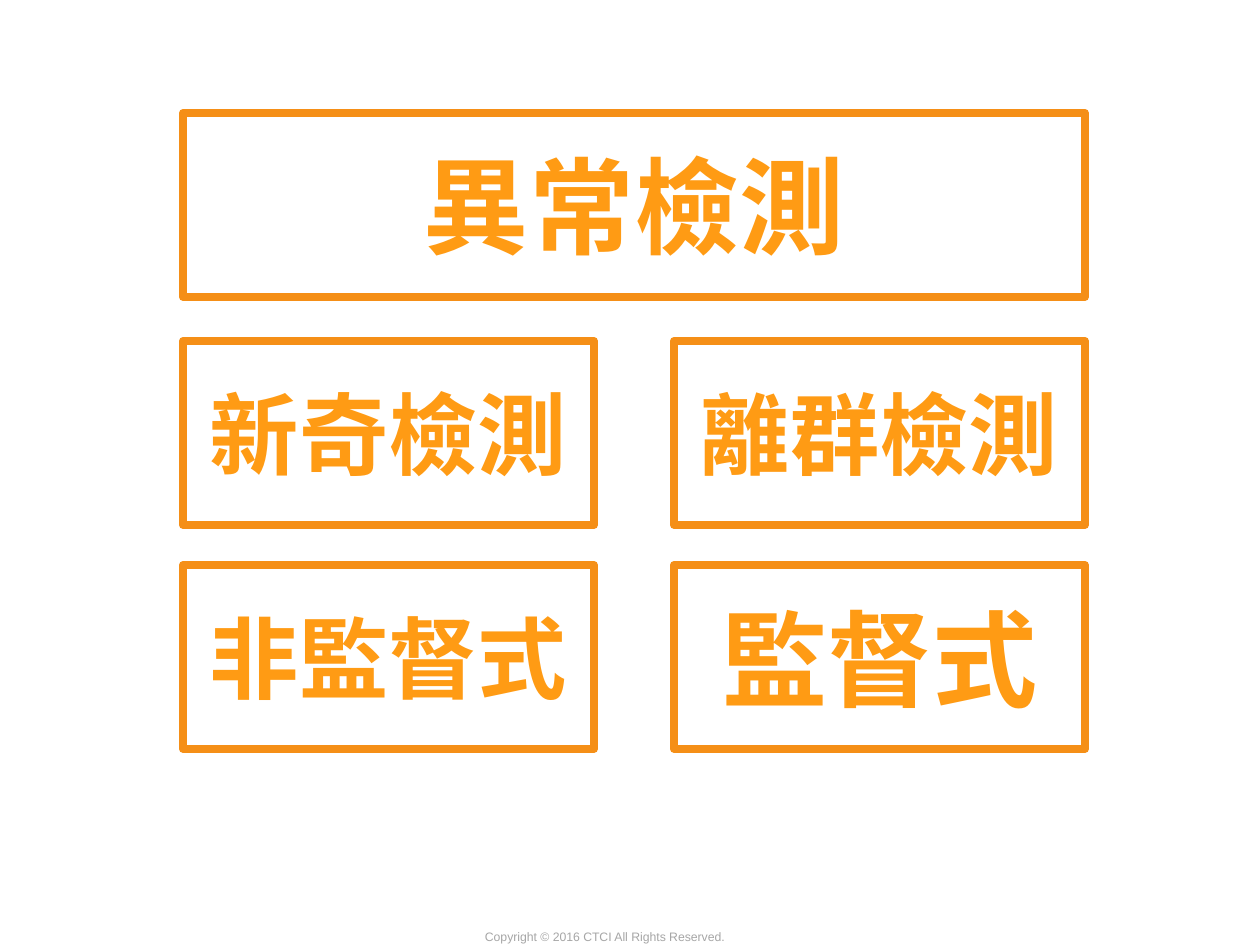
from pptx import Presentation
from pptx.dml.color import RGBColor
from pptx.enum.shapes import MSO_SHAPE
from pptx.enum.text import MSO_ANCHOR, MSO_AUTO_SIZE, PP_ALIGN
from pptx.util import Inches, Pt

# Content
TITLE = ("異常檢測", 60)
GRID = [
    [("新奇檢測", 51), ("離群檢測", 51)],
    [("非監督式", 51), ("監督式", 60)],
]
NOTICE = "Copyright © 2016 CTCI All Rights Reserved."

# Style and layout, in px
FRAME = RGBColor(0xF5, 0x8F, 0x17)
ORANGE = RGBColor(0xFF, 0x9B, 0x14)
GREY = RGBColor(0xA6, 0xA6, 0xA6)
FONT = "Arial"
LEFT, TOP = 183, 113
WIDE, HIGH = 902, 184
CELL = 411
GRID_TOP, ROW_STEP = 341, 224
COL_STEP = WIDE - CELL


def px(n):
    return Inches(n / 126)


def write(shape, text, size, color, bold, align):
    frame = shape.text_frame
    frame.auto_size = MSO_AUTO_SIZE.NONE
    frame.vertical_anchor = MSO_ANCHOR.MIDDLE
    para = frame.paragraphs[0]
    para.alignment = align
    run = para.add_run()
    run.text = text
    font = run.font
    font.name, font.size, font.bold = FONT, Pt(size), bold
    font.color.rgb = color


def style(shape, text, size):
    shape.fill.background()
    shape.line.color.rgb = FRAME
    shape.line.width = Pt(4.5)
    shape.text_frame.word_wrap = True
    write(shape, text, size, ORANGE, True, PP_ALIGN.CENTER)


deck = Presentation()
deck.slide_width, deck.slide_height = Inches(10), Inches(7.5)
slide = deck.slides.add_slide(deck.slide_layouts[5])

# Title across both columns
title = slide.shapes.title
title.left, title.top = px(LEFT), px(TOP)
title.width, title.height = px(WIDE), px(HIGH)
style(title, *TITLE)

# Two by two grid of boxes
for r, row in enumerate(GRID):
    for c, (text, size) in enumerate(row):
        box = slide.shapes.add_shape(
            MSO_SHAPE.RECTANGLE,
            px(LEFT + c * COL_STEP), px(GRID_TOP + r * ROW_STEP),
            px(CELL), px(HIGH))
        box.shadow.inherit = False
        style(box, text, size)

# Copyright line
foot = slide.shapes.add_textbox(px(485), px(929), px(250), px(16))
frame = foot.text_frame
frame.margin_left = frame.margin_right = 0
frame.margin_top = frame.margin_bottom = 0
write(foot, NOTICE, 7, GREY, False, PP_ALIGN.LEFT)
frame.word_wrap = True

deck.save("out.pptx")
